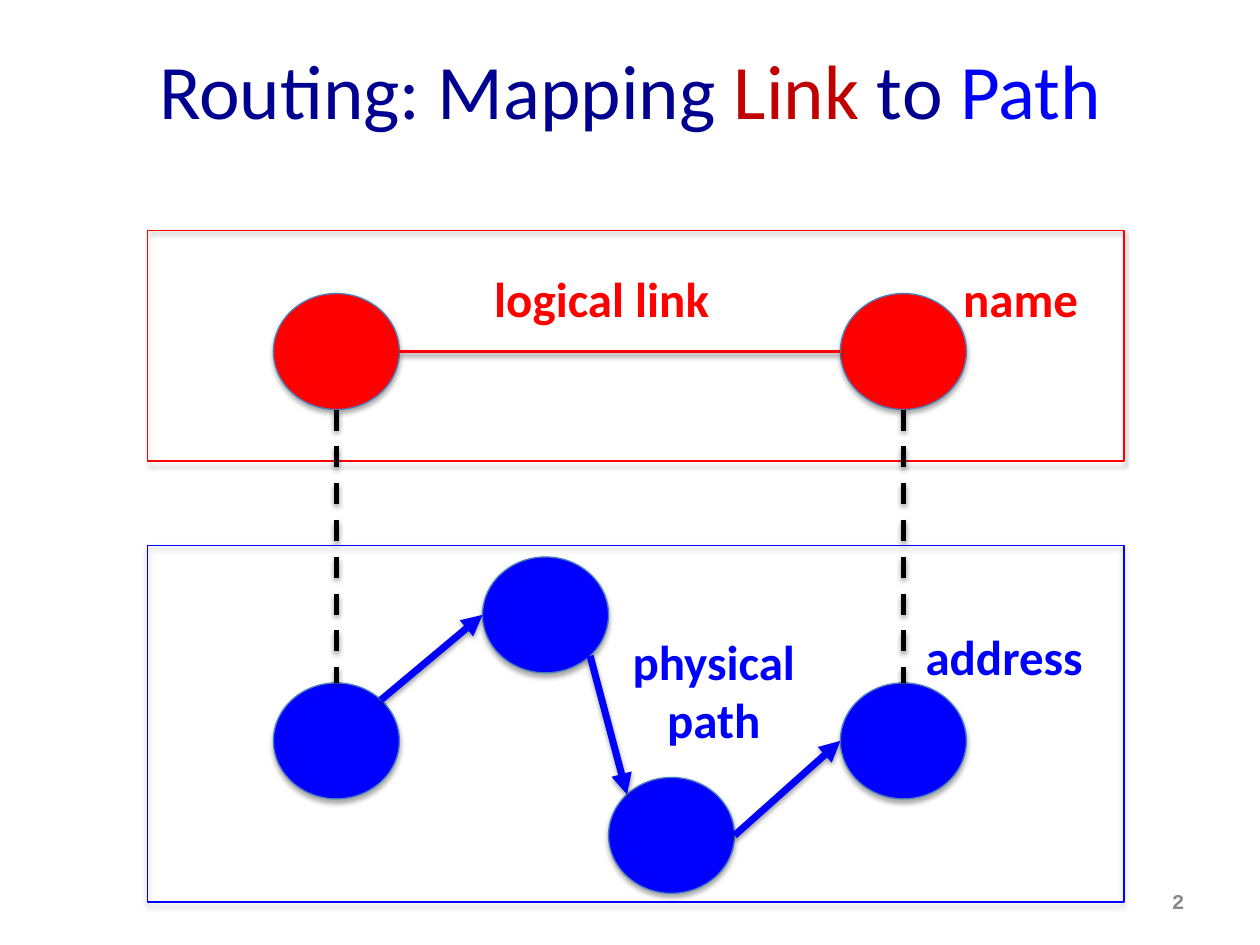
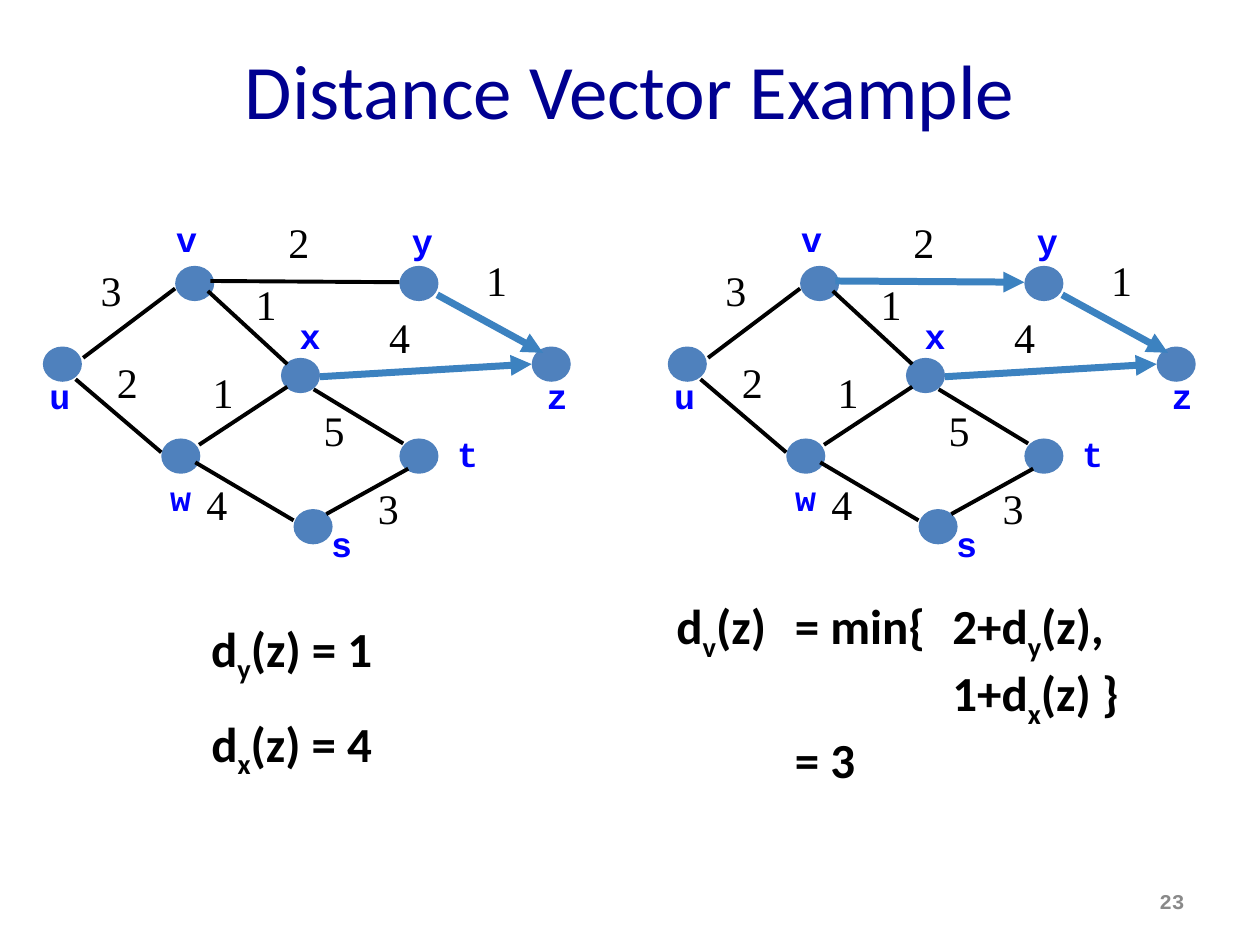
import math
from dataclasses import dataclass

from lxml import etree
from pptx import Presentation
from pptx.dml.color import RGBColor
from pptx.enum import dml, shapes, text
from pptx.oxml.ns import qn
from pptx.util import Inches, Pt

NAVY = RGBColor(0x00, 0x00, 0x90)
DARK_RED = RGBColor(0xC0, 0x00, 0x00)
RED = RGBColor(0xFF, 0x00, 0x00)
BLUE = RGBColor(0x00, 0x00, 0xFF)
BLACK = RGBColor(0x00, 0x00, 0x00)
GRAY = RGBColor(0x89, 0x89, 0x89)
NODE_OUTLINE = RGBColor(0x4B, 0x7E, 0xBC)
VERTEX_FILL = RGBColor(0x4F, 0x81, 0xBD)
ROUTE_BLUE = RGBColor(0x3C, 0x82, 0xC0)

LEFT, CENTER, RIGHT = text.PP_ALIGN.LEFT, text.PP_ALIGN.CENTER, text.PP_ALIGN.RIGHT
Point = tuple[float, float]
Box = tuple[float, float, float, float]


@dataclass(frozen=True)
class TextStyle:
    font: str
    size: float
    color: RGBColor
    bold: bool = False
    align: text.PP_ALIGN = CENTER


@dataclass(frozen=True)
class Span:
    words: str
    color: RGBColor | None = None
    subscript: bool = False


@dataclass(frozen=True)
class Node:
    left: float
    top: float
    color: RGBColor
    width: float = 1
    height: float = 0.92

    def rim(self, degrees: float) -> Point:
        """Point on the outline, clockwise from the right-hand side."""
        angle = math.radians(degrees)
        return (self.left + self.width / 2 * (1 + math.cos(angle)),
                self.top + self.height / 2 * (1 + math.sin(angle)))


@dataclass(frozen=True)
class Vertex:
    name: str
    left: float
    top: float
    label_at: Point
    label_width: float


@dataclass(frozen=True)
class Edge:
    name: str
    start: Point
    end: Point
    weight: str
    weight_at: Point


TITLE = TextStyle("Calibri", 44, NAVY)
PAGE_NUMBER = TextStyle("Courier New", 12, GRAY, True, RIGHT)
RED_LABEL = TextStyle("Calibri", 28, RED, True)
BLUE_LABEL = TextStyle("Calibri", 28, BLUE, True)
EQUATION = TextStyle("Calibri", 28, BLACK, True)
MIN_EQUATION = TextStyle("Calibri", 28, BLACK, True, LEFT)
VERTEX_LABEL = TextStyle("Courier New", 20, BLUE, True)
WEIGHT = TextStyle("Times New Roman", 24, BLACK, align=LEFT)

VERTICES = [
    Vertex("u", 0.34, 2.75, (0.29, 2.92), 0.37),
    Vertex("w", 1.28, 3.48, (1.22, 3.73), 0.43),
    Vertex("v", 1.39, 2.11, (1.3, 1.68), 0.35),
    Vertex("x", 2.23, 2.84, (2.28, 2.45), 0.36),
    Vertex("t", 3.17, 3.48, (3.53, 3.38), 0.29),
    Vertex("y", 3.17, 2.11, (3.17, 1.69), 0.35),
    Vertex("s", 2.33, 4.04, (2.53, 4.1), 0.36),
    Vertex("z", 4.22, 2.75, (4.24, 2.92), 0.34),
]
EDGES = [
    Edge("uv", (0.66, 2.84), (1.39, 2.29), "3", (0.7, 2.05)),
    Edge("uw", (0.6, 3.01), (1.28, 3.59), "2", (0.83, 2.78)),
    Edge("vx", (1.65, 2.31), (2.28, 2.89), "1", (1.93, 2.16)),
    Edge("ws", (1.55, 3.67), (2.33, 4.13), "4", (1.54, 3.75)),
    Edge("wx", (1.58, 3.53), (2.28, 3.07), "1", (1.59, 2.86)),
    Edge("xt", (2.49, 3.09), (3.2, 3.52), "5", (2.47, 3.16)),
    Edge("st", (2.59, 4.08), (3.24, 3.72), "3", (2.9, 3.78)),
    Edge("xz", (2.54, 2.99), (4.22, 2.89), "4", (2.99, 2.42)),
    Edge("vy", (1.67, 2.23), (3.17, 2.24), "2", (2.19, 1.67)),
    Edge("yz", (3.47, 2.34), (4.31, 2.8), "1", (3.76, 1.97)),
]
SECOND_GRAPH_OFFSET = 4.96


def add_shadow(effects, opacity: int, distance: float) -> None:
    shadow = etree.SubElement(
        effects, qn("a:outerShdw"), blurRad=str(Pt(3.1)), dist=str(Pt(distance)),
        dir="5400000", rotWithShape="0")
    color = etree.SubElement(shadow, qn("a:srgbClr"), val=str(BLACK))
    etree.SubElement(color, qn("a:alpha"), val=str(opacity * 1000))


def add_text(slide, box: Box, lines: list[list[Span]], style: TextStyle,
             wrap: bool = False, middle: bool = False, tabs: tuple[float, ...] = ()) -> None:
    frame = slide.shapes.add_textbox(*map(Inches, box)).text_frame
    frame.word_wrap = wrap
    if middle:
        frame.vertical_anchor = text.MSO_ANCHOR.MIDDLE
    for index, spans in enumerate(lines):
        paragraph = frame.add_paragraph() if index else frame.paragraphs[0]
        paragraph.alignment = style.align
        if tabs:
            tab_list = etree.SubElement(paragraph._p.get_or_add_pPr(), qn("a:tabLst"))
            for position in tabs:
                etree.SubElement(tab_list, qn("a:tab"), pos=str(Inches(position)), algn="l")
        for span in spans:
            run = paragraph.add_run()
            run.text = span.words
            run.font.name = style.font
            run.font.size = Pt(style.size)
            run.font.bold = style.bold
            run.font.color.rgb = span.color or style.color
            if span.subscript:
                run._r.get_or_add_rPr().set("baseline", "-25000")


def add_shape(slide, kind: shapes.MSO_SHAPE, box: Box, fill: RGBColor | None,
              outline: RGBColor | None, shadow: bool = False) -> None:
    shape = slide.shapes.add_shape(kind, *map(Inches, box))
    if fill is None:
        shape.fill.background()
    else:
        shape.fill.solid()
        shape.fill.fore_color.rgb = fill
    if outline is None:
        shape.line.fill.background()
    else:
        shape.line.color.rgb = outline
        shape.line.width = Pt(0.75)
    shape.shadow.inherit = False
    if shadow:
        add_shadow(shape._element.spPr.find(qn("a:effectLst")), 35, 1.8)


def add_line(slide, start: Point, end: Point, color: RGBColor, width: float,
             arrow: bool = False, dashed: bool = False, shadow: bool = False) -> None:
    connector = slide.shapes.add_connector(
        shapes.MSO_CONNECTOR.STRAIGHT, *map(Inches, (*start, *end)))
    line = connector.line
    line.color.rgb = color
    line.width = Pt(width)
    if dashed:
        line.dash_style = dml.MSO_LINE.DASH
    properties = connector._element.spPr
    if arrow:
        etree.SubElement(properties.find(qn("a:ln")), qn("a:tailEnd"), type="triangle")
    effects = etree.SubElement(properties, qn("a:effectLst"))
    if shadow:
        add_shadow(effects, 38, 1.6)


def add_titled_slide(presentation, title: list[Span], number: str):
    slide = presentation.slides.add_slide(presentation.slide_layouts[6])
    add_text(slide, (0.5, 0.08, 9, 1.25), [title], TITLE, wrap=True, middle=True)
    add_text(slide, (7.17, 6.95, 2.33, 0.4), [[Span(number)]], PAGE_NUMBER,
             wrap=True, middle=True)
    return slide


def build_routing_slide(presentation) -> None:
    slide = add_titled_slide(presentation, [
        Span("Routing: Mapping "), Span("Link ", DARK_RED), Span("to "), Span("Path", BLUE)], "2")

    name_left, name_right = Node(2.17, 2.33, RED), Node(6.67, 2.33, RED)
    source, target = Node(2.17, 5.42, BLUE), Node(6.67, 5.42, BLUE)
    upper_hop, lower_hop = Node(3.83, 4.42, BLUE), Node(4.83, 6.17, BLUE)
    for node in (source, name_right, name_left, upper_hop, target, lower_hop):
        add_shape(slide, shapes.MSO_SHAPE.OVAL, (node.left, node.top, node.width, node.height),
                  node.color, NODE_OUTLINE, shadow=True)

    for start, end in ((source.rim(-45), upper_hop.rim(180)),
                       (upper_hop.rim(45), lower_hop.rim(225)),
                       (lower_hop.rim(0), target.rim(180))):
        add_line(slide, start, end, BLUE, 4, arrow=True, shadow=True)

    for top, height, color in ((1.83, 1.83, RED), (4.33, 2.83, BLUE)):
        add_shape(slide, shapes.MSO_SHAPE.RECTANGLE, (1.17, top, 7.75, height),
                  None, color, shadow=True)

    add_line(slide, name_left.rim(0), name_right.rim(180), RED, 2, shadow=True)
    for name, address in ((name_left, source), (name_right, target)):
        add_line(slide, name.rim(90), address.rim(-90), BLACK, 3, dashed=True, shadow=True)

    for box, lines, style in (
        ((3.81, 2.08, 1.93, 0.57), ["logical link"], RED_LABEL),
        ((4.91, 4.96, 1.51, 1.04), ["physical", "path"], BLUE_LABEL),
        ((7.54, 2.08, 1.12, 0.57), ["name"], RED_LABEL),
        ((7.23, 4.92, 1.48, 0.57), ["address"], BLUE_LABEL),
    ):
        add_text(slide, box, [[Span(line)] for line in lines], style)


def draw_graph(slide, offset: float, route: set[str]) -> None:
    """Draw the network moved right by offset, with the route's edges as arrows."""
    for vertex in VERTICES:
        add_shape(slide, shapes.MSO_SHAPE.OVAL, (vertex.left + offset, vertex.top, 0.31, 0.28),
                  VERTEX_FILL, None)
    for edge in EDGES:
        on_route = edge.name in route
        (start_x, start_y), (end_x, end_y) = edge.start, edge.end
        add_line(slide, (start_x + offset, start_y), (end_x + offset, end_y),
                 ROUTE_BLUE if on_route else BLACK, 4 if on_route else 2.25, arrow=on_route)
    for edge in EDGES:
        left, top = edge.weight_at
        add_text(slide, (left + offset, top, 0.37, 0.5), [[Span(edge.weight)]], WEIGHT)
    for vertex in VERTICES:
        left, top = vertex.label_at
        add_text(slide, (left + offset, top, vertex.label_width, 0.43),
                 [[Span(vertex.name)]], VERTEX_LABEL)


def distance(before: str, vertex: str, after: str) -> list[Span]:
    return [Span(before + "d"), Span(vertex, subscript=True), Span("(z)" + after)]


def build_distance_vector_slide(presentation) -> None:
    slide = add_titled_slide(presentation, [Span("Distance Vector Example")], "23")
    draw_graph(slide, 0, {"xz", "yz"})
    for top, vertex, cost in ((4.86, "y", 1), (5.61, "x", 4)):
        add_text(slide, (1.56, top, 1.51, 0.57), [distance("", vertex, f" = {cost}")], EQUATION)

    draw_graph(slide, SECOND_GRAPH_OFFSET, {"xz", "vy", "yz"})
    add_text(slide, (5.27, 4.68, 4.52, 1.99), [
        distance("", "v", "\t= min{\t") + distance("2+", "y", ","),
        distance("\t\t1+", "x", " }"),
        [Span("\t= 3")],
    ], MIN_EQUATION, wrap=True, tabs=(0.94, 2.19))


def main() -> None:
    presentation = Presentation()
    presentation.slide_width = Inches(10)
    presentation.slide_height = Inches(7.5)
    build_routing_slide(presentation)
    build_distance_vector_slide(presentation)
    presentation.save("out.pptx")


if __name__ == "__main__":
    main()
